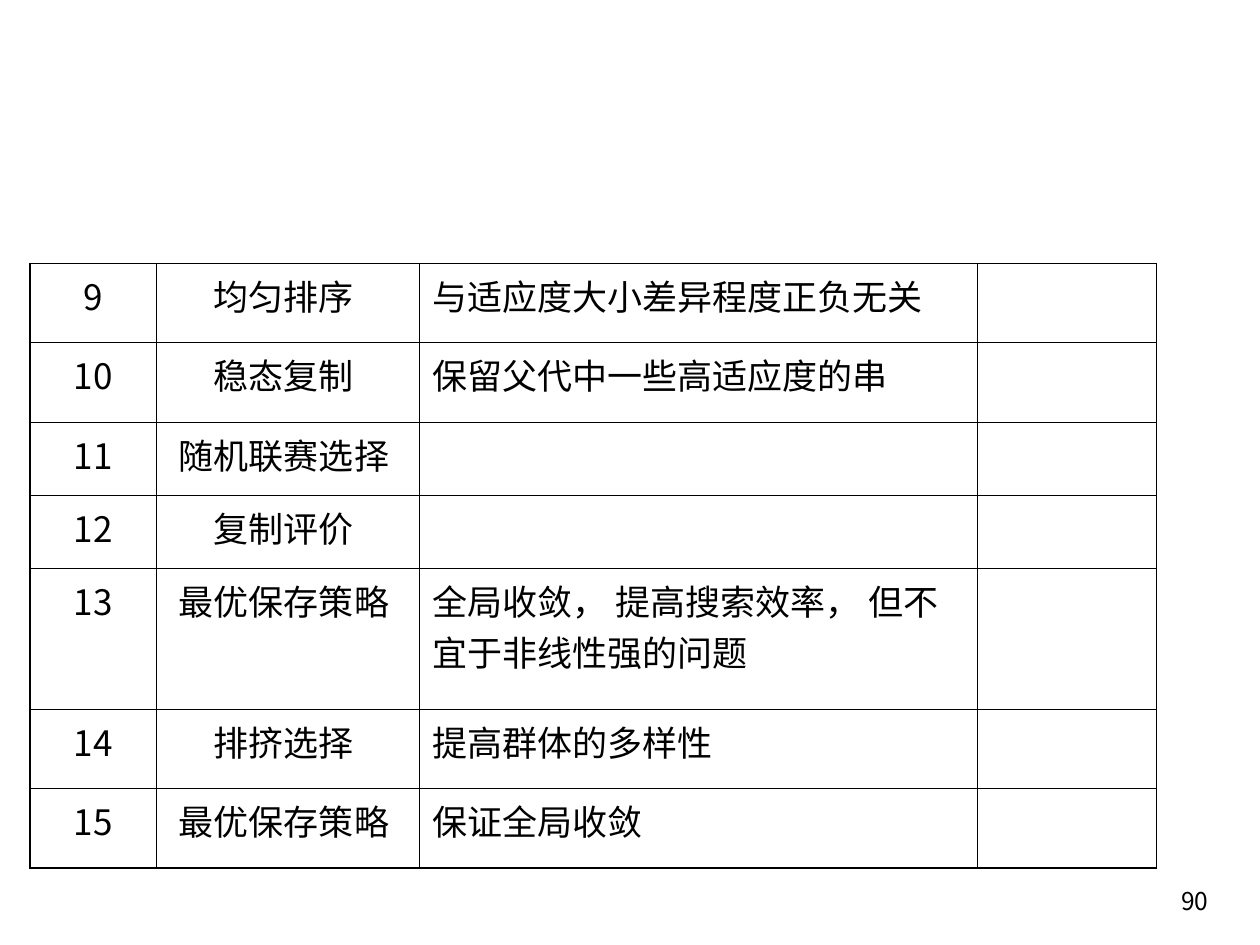
import pptx
import pptx.dml.color
import pptx.enum.text
import pptx.oxml.ns
import pptx.util
import lxml.etree

Inches = pptx.util.Inches
Pt = pptx.util.Pt
ALIGN = pptx.enum.text.PP_ALIGN

COLORS = {"ink": "000000"}
FONT = "Noto Sans CJK SC"
THIN = 0.45
THICK = 1.08

COLUMN_WIDTHS = [1, 2.09, 4.43, 1.42]
ROW_HEIGHTS = [0.63, 0.63, 0.58, 0.58, 1.12, 0.63, 0.63]
FIRST_NUMBER = 9
METHODS = [
    ("均匀排序 ", "与适应度大小差异程度正负无关"),
    ("稳态复制 ", "保留父代中一些高适应度的串"),
    ("随机联赛选择 ", ""),
    ("复制评价 ", ""),
    ("最优保存策略 ", "全局收敛， 提高搜索效率， 但不宜于非线性强的问题"),
    ("排挤选择 ", "提高群体的多样性"),
    ("最优保存策略 ", "保证全局收敛"),
]


def add_element(parent, tag, **attributes):
    return lxml.etree.SubElement(parent, pptx.oxml.ns.qn(tag), **attributes)


class SlideBuilder:
    def __init__(self, presentation):
        self.slide = presentation.slides.add_slide(presentation.slide_layouts[6])

    def fill_paragraph(self, paragraph, text, size, alignment):
        paragraph.text = text
        paragraph.alignment = alignment
        font = paragraph.font
        font.size = Pt(size)
        font.bold = False
        font.color.rgb = pptx.dml.color.RGBColor.from_string(COLORS["ink"])
        font.name = FONT
        add_element(paragraph._p.pPr.defRPr, "a:ea", typeface=FONT)

    def border(self, cell, widths):
        properties = cell._tc.get_or_add_tcPr()
        for side in "LRTB":
            line = add_element(properties, "a:ln" + side, w=str(Pt(widths[side])))
            fill = add_element(line, "a:solidFill")
            add_element(fill, "a:srgbClr", val=COLORS["ink"])

    def table(self, left, top, column_widths, row_heights, rows):
        frame = self.slide.shapes.add_table(
            len(rows), len(column_widths), Inches(left), Inches(top),
            Inches(sum(column_widths)), Inches(sum(row_heights)))
        table = frame.table
        table.first_row = False
        table.horz_banding = False
        for column, width in zip(table.columns, column_widths):
            column.width = Inches(width)
        for row, height in zip(table.rows, row_heights):
            row.height = Inches(height)
        last_row, last_column = len(rows) - 1, len(column_widths) - 1
        for row_index, texts in enumerate(rows):
            for column_index, text in enumerate(texts):
                cell = table.cell(row_index, column_index)
                self.border(cell, {
                    "L": THICK if column_index == 0 else THIN,
                    "R": THICK if column_index == last_column else THIN,
                    "T": THIN,
                    "B": THICK if row_index == last_row else THIN,
                })
                cell.fill.background()
                if text:
                    alignment = ALIGN.CENTER if column_index < 2 else ALIGN.LEFT
                    paragraph = cell.text_frame.paragraphs[0]
                    self.fill_paragraph(paragraph, text, 20, alignment)

    def text(self, left, top, width, height, text, size, alignment):
        shape = self.slide.shapes.add_textbox(
            Inches(left), Inches(top), Inches(width), Inches(height))
        frame = shape.text_frame
        frame.word_wrap = True
        frame.vertical_anchor = pptx.enum.text.MSO_ANCHOR.MIDDLE
        self.fill_paragraph(frame.paragraphs[0], text, size, alignment)


def main():
    presentation = pptx.Presentation()
    presentation.slide_width = Inches(10)
    presentation.slide_height = Inches(7.5)
    builder = SlideBuilder(presentation)
    rows = [(str(number), name, feature, "")
            for number, (name, feature) in enumerate(METHODS, FIRST_NUMBER)]
    builder.table(0.24, 2.09, COLUMN_WIDTHS, ROW_HEIGHTS, rows)
    builder.text(7.17, 6.95, 2.52, 0.4, "90", 14, ALIGN.RIGHT)
    presentation.save("out.pptx")


if __name__ == "__main__":
    main()
